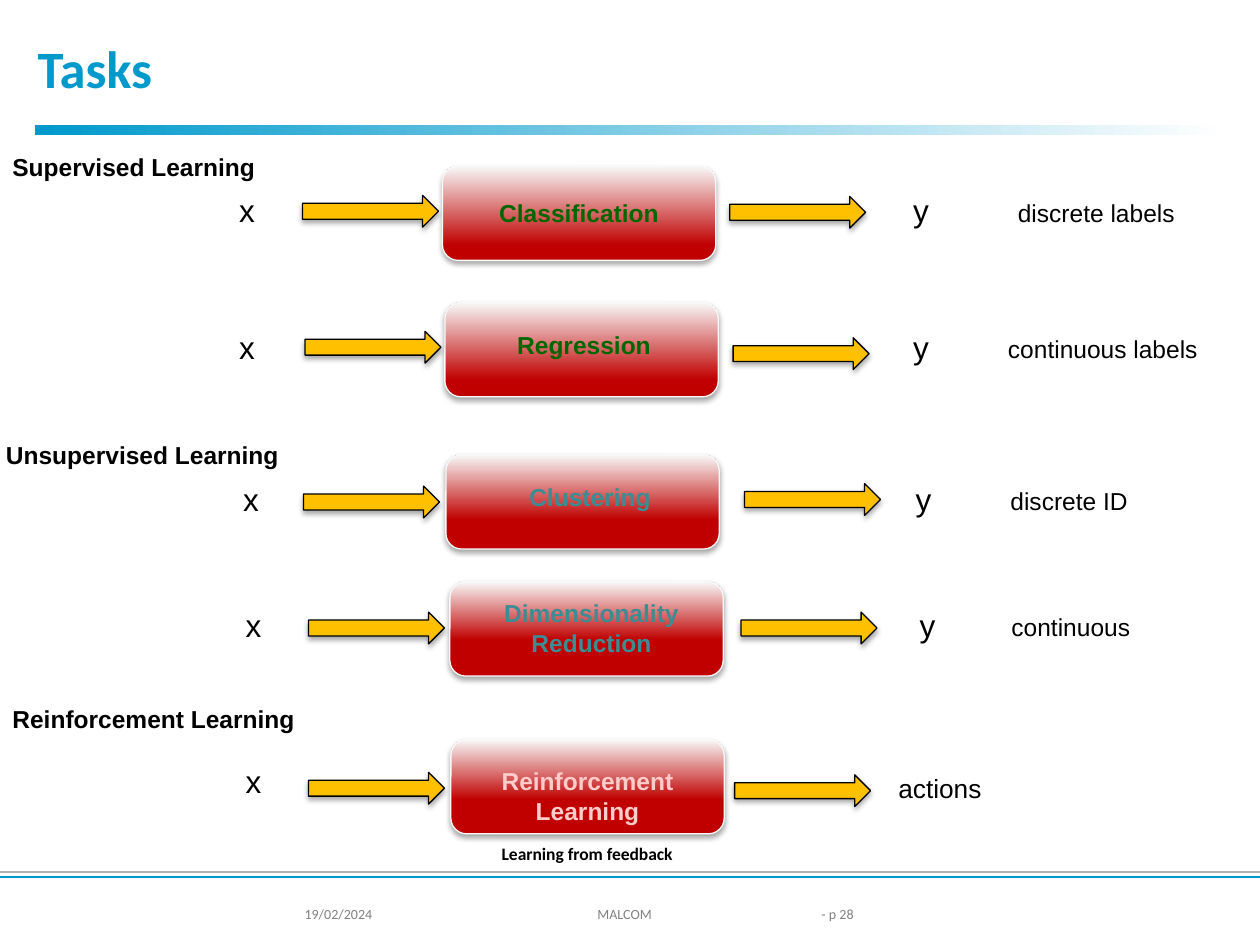
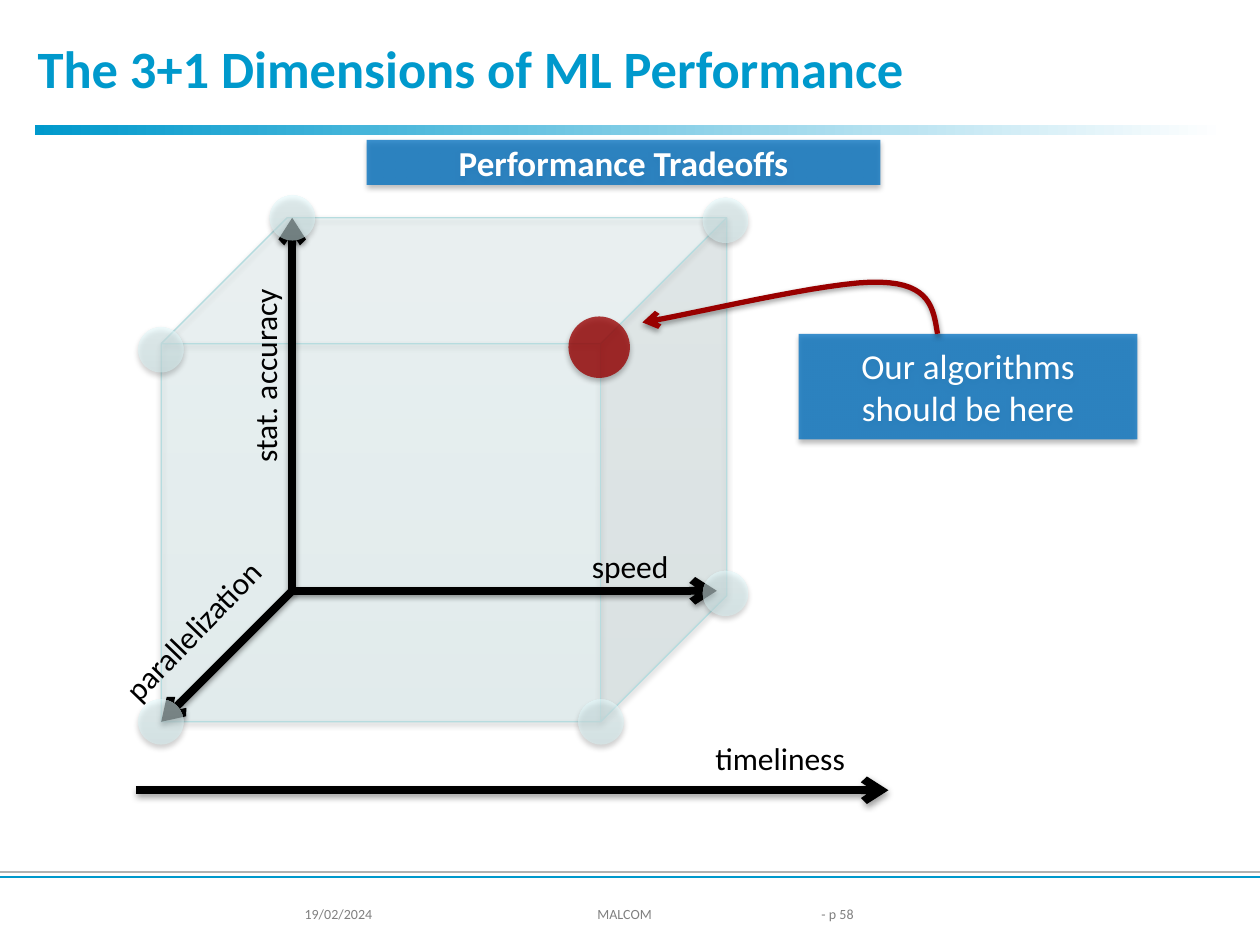
"""Build two slides on machine learning tasks and performance tradeoffs."""
import dataclasses

import lxml.etree
import pptx
import pptx.dml.color
import pptx.enum.shapes
import pptx.enum.text
import pptx.oxml.ns
import pptx.util

Cm = pptx.util.Cm
Pt = pptx.util.Pt
FORM = pptx.enum.shapes.MSO_SHAPE
ALIGN = pptx.enum.text.PP_ALIGN
qn = pptx.oxml.ns.qn


@dataclasses.dataclass(frozen=True)
class Theme:
    """Colours, fonts and type sizes of the deck."""
    blue: str = "0099CC"
    grey: str = "B2B2B2"
    dim: str = "808080"
    black: str = "000000"
    white: str = "FFFFFF"
    red: str = "C00000"
    pale: str = "F8F8F8"
    edge: str = "F9F9F9"
    gold: str = "FFC000"
    green: str = "006600"
    teal: str = "3C8C93"
    pink: str = "FFCCCC"
    dark: str = "990000"
    note: str = "0070C0"
    rim: str = "B6DCDF"
    cube: tuple = ("B5E5E9", "D3FBFF")
    ball: tuple = ("D7F0F2", "E6FDFF")
    sans: str = "Arial"
    body: str = "Calibri"
    title: int = 30
    call: int = 20
    large: int = 18
    act: int = 15
    text: int = 14
    small: int = 10
    foot: int = 8


THEME = Theme()


@dataclasses.dataclass(frozen=True)
class Task:
    """One row of the task chart, with places in centimetres."""
    name: str
    ink: str
    stop: float
    box: tuple
    label: tuple
    x: tuple
    enter: tuple
    leave: tuple
    out: float
    kind: str = ""
    kind_x: float = 0
    kind_w: float = 0


TASKS = (
    Task("Classification", THEME.green, 0.16, (8.92, 3.35), (8.92, 3.86), (4.57, 3.73),
         (6.1, 3.94), (14.71, 3.96), 18.16, "discrete labels", 20.27, 3.68),
    Task("Regression", THEME.green, 0.18, (8.97, 6.1), (9.02, 6.53), (4.57, 6.48),
         (6.15, 6.68), (14.78, 6.81), 18.16, "continuous labels", 20.07, 4.34),
    Task("Clustering", THEME.teal, 0.31, (8.99, 9.17), (9.14, 9.6), (4.65, 9.55),
         (6.12, 9.8), (15.01, 9.75), 18.21, "discrete ID", 20.12, 2.9),
    Task("Dimensionality\vReduction", THEME.teal, 0.38, (9.07, 11.73), (9.17, 11.94),
         (4.7, 12.09), (6.22, 12.34), (14.94, 12.34), 18.29, "continuous", 20.14, 2.92),
    Task("Reinforcement Learning", THEME.pink, 0.36, (9.09, 14.91), (9.09, 15.32),
         (4.7, 15.24), (6.22, 15.57), (14.81, 15.62), 17.86),
)


def rgb(code):
    """Turn a hex code into a colour."""
    return pptx.dml.color.RGBColor.from_string(code)


def sub(node, tag, **values):
    """Add a drawing element with the given attributes."""
    return lxml.etree.SubElement(node, qn(tag), {k: str(v) for k, v in values.items()})


def write(frame, words, size, ink, font, bold, align):
    """Fill a text frame with one styled paragraph."""
    frame.text = words
    line = frame.paragraphs[0]
    line.alignment = align
    line.font.size = Pt(size)
    line.font.name = font
    line.font.bold = bold
    line.font.color.rgb = rgb(ink)


def text(slide, box, words, size, ink=THEME.black, font=THEME.body,
         bold=False, align=ALIGN.LEFT, wrap=False, turn=0):
    """Place a text box."""
    item = slide.shapes.add_textbox(*map(Cm, box))
    item.text_frame.word_wrap = wrap
    item.rotation = turn
    write(item.text_frame, words, size, ink, font, bold, align)


def shade(item, alpha=35, gap=23000):
    """Drop a soft shadow below an item."""
    glow = sub(item._element.spPr.get_or_add_effectLst(), "a:outerShdw", blurRad=40000,
               dist=gap, dir=5400000, rotWithShape=0)
    sub(sub(glow, "a:srgbClr", val=THEME.black), "a:alpha", val=alpha * 1000)


def shape(slide, form, box, fill, alpha=100, edge=None, start=0, angle=90, shadow=True):
    """Place a preset shape with a solid colour or a two-colour gradient."""
    item = slide.shapes.add_shape(form, *map(Cm, box))
    item.shadow.inherit = False
    if isinstance(fill, tuple):
        item.fill.gradient()
        item.fill.gradient_angle = angle
        for stop, code, place in zip(item.fill.gradient_stops, fill, (start, 1)):
            stop.color.rgb = rgb(code)
            stop.position = place
    else:
        item.fill.solid()
        item.fill.fore_color.rgb = rgb(fill)
    if alpha < 100:
        for tint in item._element.spPr.iter(qn("a:srgbClr")):
            sub(tint, "a:alpha", val=alpha * 1000)
    if edge:
        item.line.color.rgb = rgb(edge)
        item.line.width = Pt(0.75)
    else:
        item.line.fill.background()
    if shadow:
        shade(item)
    return item


def stroke(item, ink, width, arrow):
    """Style a line, with an arrowhead and shadow if it is an arrow."""
    item.line.color.rgb = rgb(ink)
    item.line.width = Pt(width)
    props = item._element.spPr
    props.get_or_add_effectLst()
    if arrow:
        sub(props.get_or_add_ln(), "a:tailEnd", type="arrow")
        shade(item, 38, 20000)


def line(slide, start, end, ink=THEME.black, width=4.5, arrow=True):
    """Draw a straight line or arrow."""
    item = slide.shapes.add_connector(
        pptx.enum.shapes.MSO_CONNECTOR.STRAIGHT, *map(Cm, (*start, *end)))
    stroke(item, ink, width, arrow)


def bend(points, steps=16):
    """Give the points along a cubic curve after its start."""
    for step in range(1, steps + 1):
        t = step / steps
        parts = ((1 - t) ** 3, 3 * t * (1 - t) ** 2, 3 * t * t * (1 - t), t ** 3)
        yield tuple(Cm(sum(p * v for p, v in zip(parts, axis))) for axis in zip(*points))


def curve(slide, points, ink, width):
    """Draw an arrow along joined cubic curves."""
    pen = slide.shapes.build_freeform(*map(Cm, points[0]))
    for first in range(0, len(points) - 1, 3):
        pen.add_line_segments(bend(points[first:first + 4]), close=False)
    item = pen.convert_to_shape()
    item.shadow.inherit = False
    item.fill.background()
    stroke(item, ink, width, True)


def note(slide, box, words, bold=False):
    """Place a blue callout with centred white text."""
    item = shape(slide, FORM.RECTANGLE, box, THEME.note, 76)
    item.text_frame.vertical_anchor = pptx.enum.text.MSO_ANCHOR.MIDDLE
    write(item.text_frame, words, THEME.call, THEME.white, THEME.body, bold, ALIGN.CENTER)


def page(deck, title, number):
    """Add a slide with its title, bands and footer."""
    slide = deck.slides.add_slide(deck.slide_layouts[6])
    shape(slide, FORM.RECTANGLE, (0.7, 2.53, 24, 0.2), (THEME.blue, THEME.white),
          angle=0, shadow=False)
    for top, ink in ((17.58, THEME.grey), (17.68, THEME.blue)):
        line(slide, (0, top), (25.4, top), ink, 1.5, False)
    text(slide, (0.51, 0.61, 23.8, 1.8), title, THEME.title, THEME.blue, bold=True, wrap=True)
    for left, width, words, align in ((5.89, 3, "19/02/2024", ALIGN.LEFT),
                                      (9.09, 7.01, "MALCOM", ALIGN.CENTER),
                                      (16.31, 2.01, f"- p {number}", ALIGN.LEFT)):
        text(slide, (left, 18.14, width, 0.56), words, THEME.foot, THEME.dim,
             align=align, wrap=True)
    return slide


def row(slide, task):
    """Draw one task with its input, arrows and output."""
    shape(slide, FORM.ROUNDED_RECTANGLE, (*task.box, 5.51, 1.9), (THEME.red, THEME.pale),
          edge=THEME.edge, start=task.stop)
    text(slide, (*task.label, 5.51, 0.86), task.name, THEME.text, task.ink, THEME.sans,
         True, ALIGN.CENTER, True)
    text(slide, (*task.x, 0.84, 1.02), "x", THEME.large, font=THEME.sans)
    for place in (task.enter, task.leave):
        shape(slide, FORM.RIGHT_ARROW, (*place, 2.74, 0.64), THEME.gold, edge=THEME.black)
    top = task.x[1]
    if task.kind:
        text(slide, (task.out, top, 0.86, 1.02), "y", THEME.large, font=THEME.sans)
        text(slide, (task.kind_x, top + 0.13, task.kind_w, 0.86), task.kind, THEME.text,
             font=THEME.sans)
    else:
        text(slide, (task.out, top + 0.2, 2.21, 0.89), "actions", THEME.act, font=THEME.sans)


def tasks(deck):
    """Build the slide of learning tasks."""
    slide = page(deck, "Tasks", 28)
    for task in TASKS:
        row(slide, task)
    for left, top, width, words in ((0, 2.95, 5.44, "Supervised Learning"),
                                    (-0.13, 8.74, 6.05, "Unsupervised Learning"),
                                    (0, 14.07, 6.22, "Reinforcement Learning")):
        text(slide, (left, top, width, 0.86), words, THEME.text, font=THEME.sans, bold=True)
    text(slide, (5.03, 16.87, 13.61, 0.89), "Learning from feedback", THEME.small,
         bold=True, align=ALIGN.CENTER, wrap=True)


def space(deck):
    """Build the slide of performance dimensions."""
    slide = page(deck, "The 3+1 Dimensions of ML Performance", 58)
    shape(slide, FORM.CUBE, (3.25, 4.39, 11.4, 10.16), THEME.cube, 20, THEME.rim)
    root = (5.89, 11.91)
    for end in ((5.89, 4.39), (14.45, 11.91), (3.25, 14.55)):
        line(slide, root, end)
    line(slide, (2.74, 15.93), (17.91, 15.93))
    for left, top, width, words, turn in ((11.68, 10.9, 2.26, "speed", 0),
                                          (3.1, 6.83, 4.47, "stat. accuracy", 270),
                                          (1.78, 12.09, 4.42, "parallelization", 314),
                                          (14.17, 14.78, 3.35, "timeliness", 0)):
        text(slide, (left, top, width, 1.02), words, THEME.large, turn=turn)
    for place in ((14.17, 11.51), (14.17, 3.99), (2.79, 14.1),
                  (2.79, 6.6), (11.66, 14.1), (5.44, 3.94)):
        shape(slide, FORM.OVAL, (*place, 0.91, 0.91), THEME.ball, 53)
    shape(slide, FORM.OVAL, (11.46, 6.38, 1.24, 1.24), THEME.dark, 77)
    note(slide, (16.1, 6.73, 6.83, 2.13), "Our algorithms should be here")
    curve(slide, ((18.9, 6.73), (18.82, 6.22), (18.75, 5.72), (17.75, 5.69),
                  (16.76, 5.64), (13.77, 6.38), (12.95, 6.5)), THEME.dark, 3)
    note(slide, (7.39, 2.82, 10.36, 0.91), "Performance Tradeoffs", True)


def main():
    """Build and save the deck."""
    deck = pptx.Presentation()
    deck.slide_width = Cm(25.4)
    deck.slide_height = Cm(19.05)
    tasks(deck)
    space(deck)
    deck.save("out.pptx")


if __name__ == "__main__":
    main()
